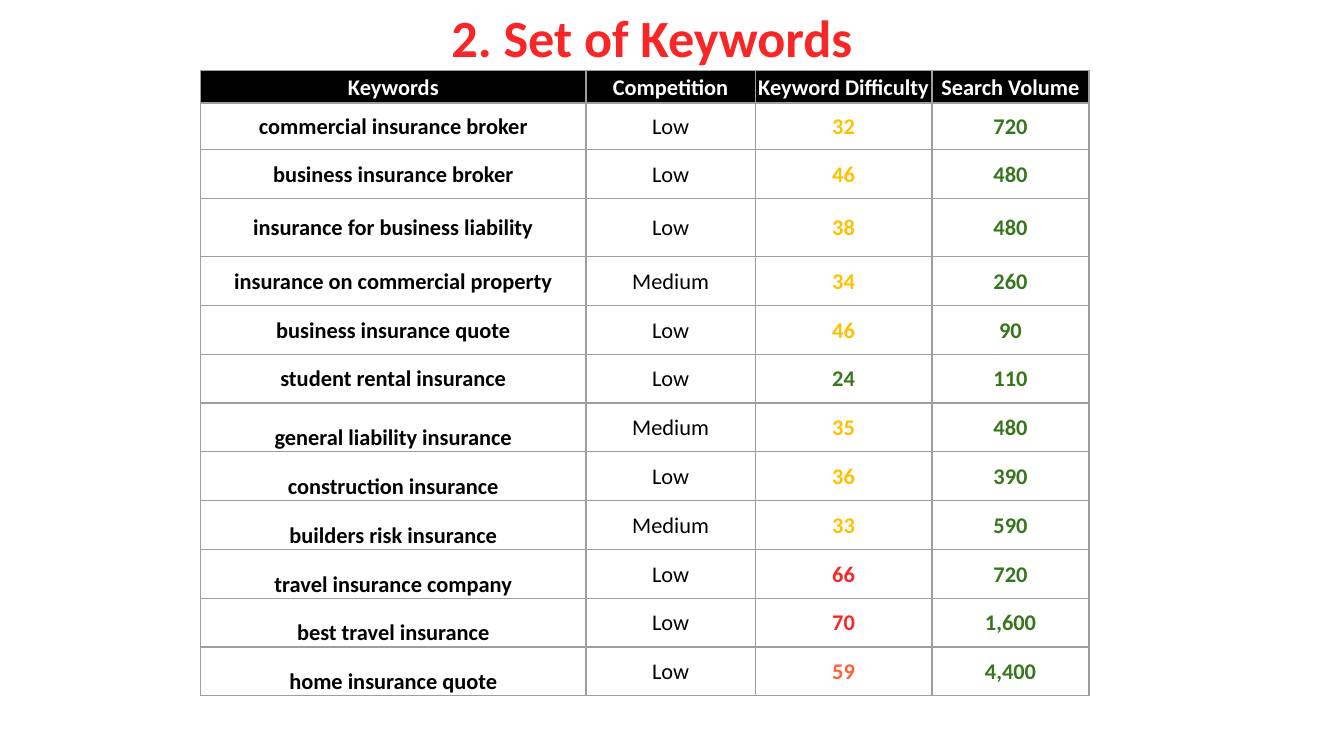
from dataclasses import dataclass

from lxml import etree
from pptx import Presentation
from pptx.dml.color import RGBColor
from pptx.enum import text as t
from pptx.oxml.ns import qn
from pptx.util import Pt


@dataclass(frozen=True)
class Theme:
    font: str = "Calibri"
    title: float = 28
    body: float = 12
    black: str = "000000"
    white: str = "FFFFFF"
    green: str = "38761D"
    amber: str = "FFC000"
    coral: str = "FF6238"
    red: str = "F82626"
    grid: str = "9E9E9E"
    line: float = 0.75


@dataclass(frozen=True)
class Term:
    name: str
    rival: str
    score: int
    volume: int
    height: float = 26.15
    low: bool = False  # name sits at the bottom of its cell


THEME = Theme()
HEADS = ("Keywords", "Competition", "Keyword Difficulty", "Search Volume")
WIDTHS = (206.5, 90.6, 94.7, 84.2)
HEAD_ROW = 17.5
TERMS = (
    Term("commercial insurance broker", "Low", 32, 720, 25),
    Term("business insurance broker", "Low", 46, 480),
    Term("insurance for business liability", "Low", 38, 480, 31.2),
    Term("insurance on commercial property", "Medium", 34, 260),
    Term("business insurance quote", "Low", 46, 90),
    Term("student rental insurance", "Low", 24, 110),
    Term("general liability insurance", "Medium", 35, 480, low=True),
    Term("construction insurance", "Low", 36, 390, low=True),
    Term("builders risk insurance", "Medium", 33, 590, low=True),
    Term("travel insurance company", "Low", 66, 720, low=True),
    Term("best travel insurance", "Low", 70, 1600, low=True),
    Term("home insurance quote", "Low", 59, 4400, low=True),
)


def write(frame, words: str, *, size: float = THEME.body, color: str = THEME.black,
          bold: bool = True, align=t.PP_ALIGN.CENTER) -> None:
    para = frame.paragraphs[0]
    para.alignment = align
    run = para.add_run()
    run.text = words
    run.font.name = THEME.font
    run.font.size = Pt(size)
    run.font.bold = bold
    run.font.color.rgb = RGBColor.from_string(color)


def rate(score: int) -> str:
    """Give the colour for a difficulty score."""
    if score < 30:
        return THEME.green
    if score < 50:
        return THEME.amber
    return THEME.coral if score < 60 else THEME.red


def edge(cell) -> None:
    """Rule all four sides; the lines must come before the fill."""
    props = cell._tc.get_or_add_tcPr()
    for spot, side in enumerate(("lnL", "lnR", "lnT", "lnB")):
        line = etree.Element(qn(f"a:{side}"), w=str(Pt(THEME.line)))
        fill = etree.SubElement(line, qn("a:solidFill"))
        etree.SubElement(fill, qn("a:srgbClr"), val=THEME.grid)
        props.insert(spot, line)


def fill_cell(cell, words: str, *, back: str = "", low: bool = False, **style) -> None:
    cell.margin_left = cell.margin_right = cell.margin_top = Pt(0.75)
    cell.margin_bottom = Pt(0)
    cell.vertical_anchor = t.MSO_ANCHOR.BOTTOM if low else t.MSO_ANCHOR.MIDDLE
    if back:
        cell.fill.solid()
        cell.fill.fore_color.rgb = RGBColor.from_string(back)
    else:
        cell.fill.background()
    edge(cell)
    write(cell.text_frame, words, **style)


def draw_table(slide) -> None:
    highs = [HEAD_ROW] + [term.height for term in TERMS]
    table = slide.shapes.add_table(len(highs), len(WIDTHS), Pt(107.5), Pt(37.7),
                                   Pt(sum(WIDTHS)), Pt(sum(highs))).table
    table.first_row = table.horz_banding = False
    for col, width in zip(table.columns, WIDTHS):
        col.width = Pt(width)
    for row, high in zip(table.rows, highs):
        row.height = Pt(high)
    for col, head in enumerate(HEADS):
        fill_cell(table.cell(0, col), head, back=THEME.black, color=THEME.white)
    for row, term in enumerate(TERMS, 1):
        fill_cell(table.cell(row, 0), term.name, low=term.low)
        fill_cell(table.cell(row, 1), term.rival, bold=False)
        fill_cell(table.cell(row, 2), str(term.score), color=rate(term.score))
        fill_cell(table.cell(row, 3), f"{term.volume:,}", color=THEME.green)


def draw_title(slide) -> None:
    frame = slide.shapes.add_textbox(Pt(234.7), Pt(-4.3), Pt(250.6), Pt(49.7)).text_frame
    frame.word_wrap = True
    frame.margin_left = frame.margin_right = Pt(7.2)
    frame.margin_top = frame.margin_bottom = Pt(7.2)
    write(frame, "2. Set of Keywords", size=THEME.title, color=THEME.red,
          align=t.PP_ALIGN.LEFT)


def main() -> None:
    deck = Presentation()
    deck.slide_width, deck.slide_height = Pt(720), Pt(405)
    slide = deck.slides.add_slide(deck.slide_layouts[6])
    draw_table(slide)
    draw_title(slide)
    deck.save("out.pptx")


if __name__ == "__main__":
    main()
